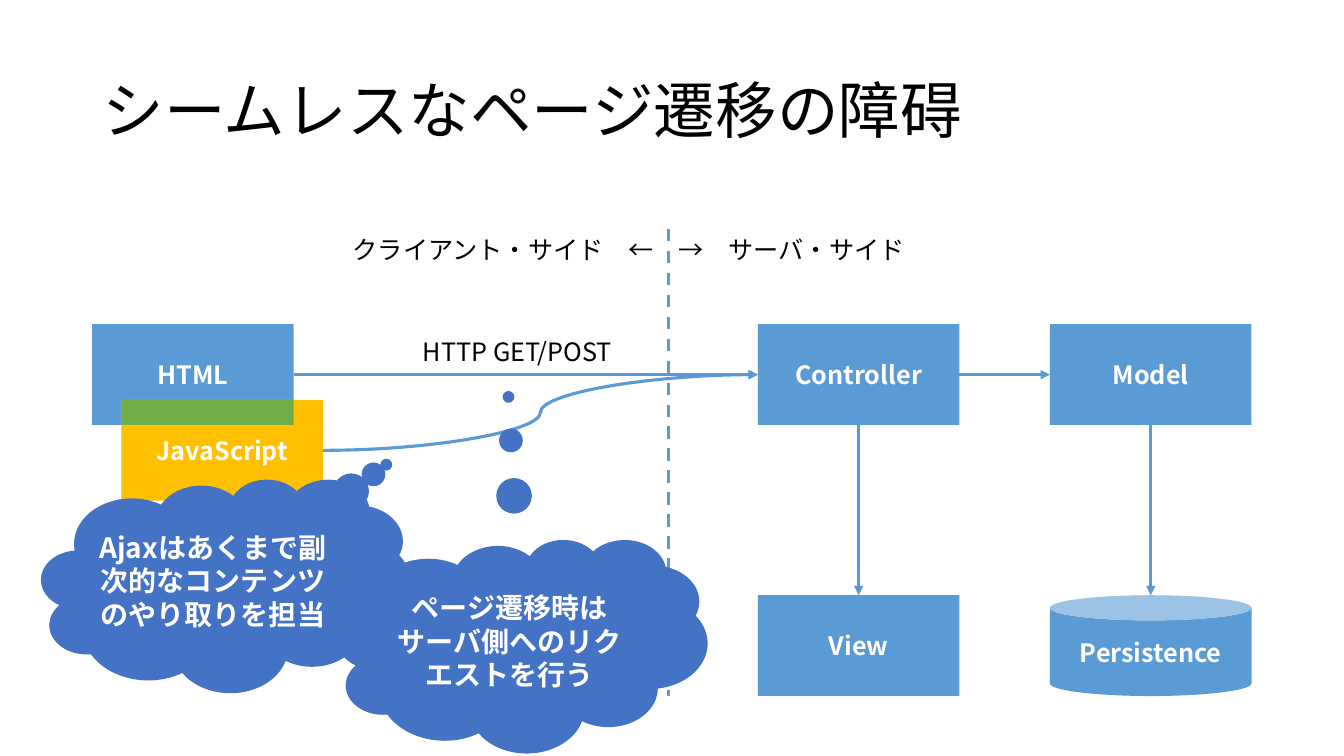
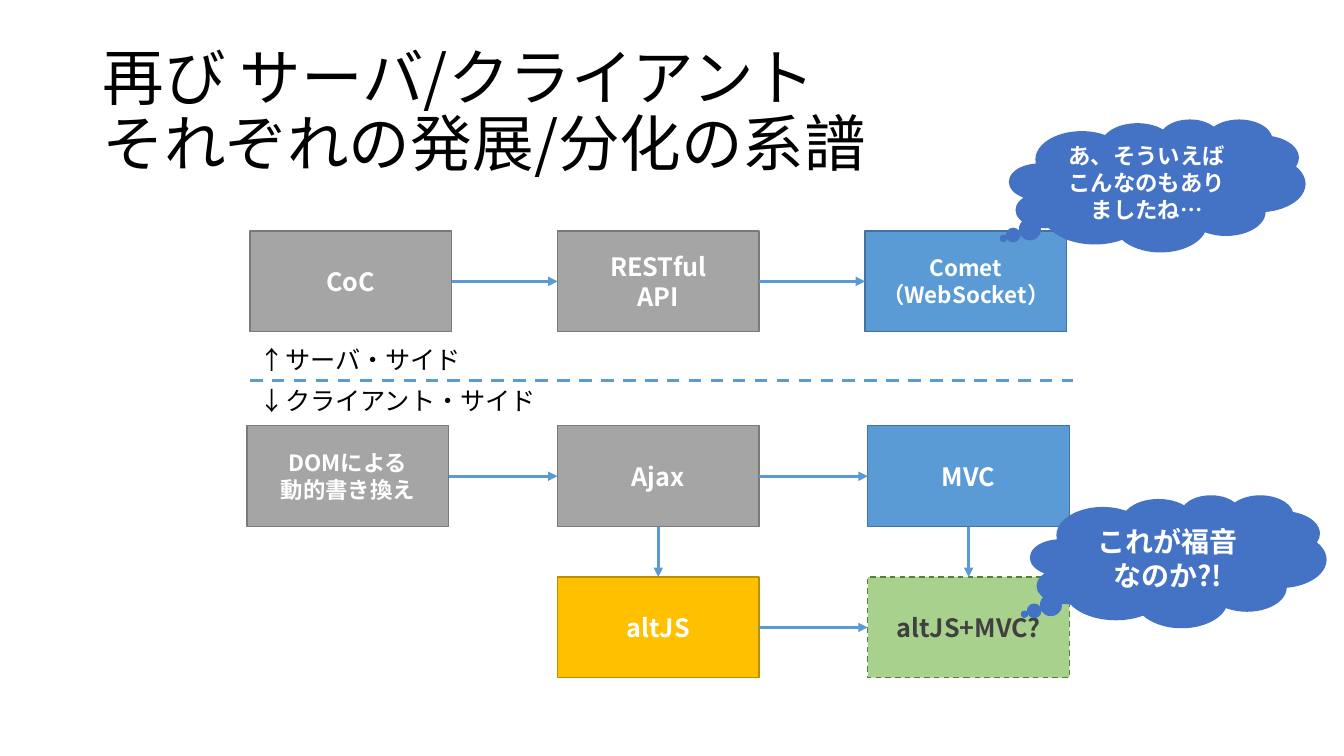
from lxml.etree import SubElement
from pptx import Presentation
from pptx.dml.color import RGBColor as RGB
from pptx.enum.dml import MSO_LINE as DASH
from pptx.enum.shapes import MSO_CONNECTOR as CONN, MSO_SHAPE as SHP
from pptx.enum.text import MSO_ANCHOR as ANC, MSO_AUTO_SIZE as AUTO, PP_ALIGN as AL
from pptx.oxml.ns import qn
from pptx.util import Cm, Pt

C = dict(blue="5B9BD5", blue_edge="43739E", cloud="4472C4", gold="FFC000",
         gold_edge="BD8E00", green="70AD47", mint="A9D18E", mint_edge="548235",
         gray="A5A5A5", gray_edge="7A7A7A", dark="404040", black="000000",
         white="FFFFFF")
FONT = "Noto Sans CJK JP"
BOX_W, BOX_H = 5.08, 2.54
LABEL_H = 1.02
TITLE_BOX = dict(left=Cm(2.33), top=Cm(1.02), width=Cm(29.21), height=Cm(3.68))
TITLE_FRAME = dict(auto_size=AUTO.NONE, vertical_anchor=ANC.MIDDLE, word_wrap=True)
TITLE_PARA = dict(alignment=AL.LEFT, line_spacing=0.9)
SHAPE_FRAME = dict(vertical_anchor=ANC.MIDDLE, word_wrap=True)
LABEL_FRAME = dict(auto_size=AUTO.SHAPE_TO_FIT_TEXT, word_wrap=False)
NO_INSET = dict(margin_left=0, margin_top=0, margin_right=0, margin_bottom=0)


def apply(obj, fmt):
    """Set each attribute of obj named in fmt."""
    for name, value in fmt.items():
        setattr(obj, name, value)


def write(tf, text, frame, para, size, color, bold=False):
    """Fill a text frame with one formatted paragraph."""
    apply(tf, frame)
    p = tf.paragraphs[0]
    p.text = text
    apply(p, para)
    for r in p.runs:
        apply(r.font, dict(name=FONT, size=Pt(size), bold=bold))
        r.font.color.rgb = RGB.from_string(C[color])
        SubElement(r.font._element, qn("a:ea")).set("typeface", FONT)


def add_slide(prs, title):
    """Add a title-only slide with the shared title style."""
    s = prs.slides.add_slide(prs.slide_layouts[5])
    apply(s.shapes.title, TITLE_BOX)
    write(s.shapes.title.text_frame, title, TITLE_FRAME, TITLE_PARA, 44, "black")
    return s


def shape(s, kind, x, y, w, h, fill, text="", size=18, color="white",
          edge=None, dash=None, frame=None):
    """Draw a filled preset shape with centred bold text."""
    sp = s.shapes.add_shape(kind, Cm(x), Cm(y), Cm(w), Cm(h))
    sp.shadow.inherit = False
    sp.fill.solid()
    sp.fill.fore_color.rgb = RGB.from_string(C[fill])
    if edge:
        apply(sp.line, dict(width=Pt(1), dash_style=dash))
        sp.line.color.rgb = RGB.from_string(C[edge])
    else:
        sp.line.fill.background()
    if text:
        write(sp.text_frame, text, SHAPE_FRAME | (frame or {}),
              dict(alignment=AL.CENTER), size, color, True)
    return sp


def box(s, x, y, fill, text, kind=SHP.RECTANGLE, **fmt):
    """Draw a diagram node of the standard size."""
    return shape(s, kind, x, y, BOX_W, BOX_H, fill, text, **fmt)


def cloud(s, x, y, w, h, tip, text, size, frame=None):
    """Draw a thought bubble whose trail ends at tip."""
    sp = shape(s, SHP.CLOUD_CALLOUT, x, y, w, h, "cloud", text, size, frame=frame)
    for i, value in enumerate(tip):
        sp.adjustments[i] = value


def label(s, x, y, w, text):
    """Place a one-line caption."""
    sp = s.shapes.add_textbox(Cm(x), Cm(y), Cm(w), Cm(LABEL_H))
    write(sp.text_frame, text, LABEL_FRAME, {}, 18, "black")


def connector(s, kind, x1, y1, x2, y2):
    """Draw a blue connector without shadow."""
    cx = s.shapes.add_connector(kind, x1, y1, x2, y2)
    cx.line.width = Pt(2.25)
    cx.line.color.rgb = RGB.from_string(C["blue"])
    SubElement(cx._element.spPr, qn("a:effectLst"))
    return cx


def divider(s, x1, y1, x2, y2):
    """Draw a dashed border between the two sides."""
    cx = connector(s, CONN.STRAIGHT, Cm(x1), Cm(y1), Cm(x2), Cm(y2))
    cx.line.dash_style = DASH.DASH


def arrow(s, a, b, down=False, kind=CONN.STRAIGHT):
    """Link node a to node b, rightwards or downwards."""
    if down:
        ends = (a.left + a.width // 2, a.top + a.height, b.left + b.width // 2, b.top)
    else:
        ends = (a.left + a.width, a.top + a.height // 2, b.left, b.top + b.height // 2)
    cx = connector(s, kind, *ends)
    cx.begin_connect(a, 2 if down else 3)
    if b.auto_shape_type != SHP.CAN:
        cx.end_connect(b, 0 if down else 1)
    ln = cx._element.spPr.find(qn("a:ln"))
    SubElement(ln, qn("a:tailEnd")).set("type", "triangle")


def client_nodes(s, x, y):
    """Draw the overlapping HTML and JavaScript nodes."""
    dx, dy = 0.74, 1.91
    html = box(s, x, y, "blue", "HTML")
    js = box(s, x + dx, y + dy, "gold", "JavaScript")
    shape(s, SHP.RECTANGLE, x + dx, y + dy, BOX_W - dx, BOX_H - dy, "green")
    return html, js


def server_nodes(s, x, y):
    """Draw the server nodes on a two by two grid and return the controller."""
    dx, dy = 7.36, 6.83
    ctrl = box(s, x, y, "blue", "Controller")
    model = box(s, x + dx, y, "blue", "Model")
    view = box(s, x, y + dy, "blue", "View")
    store = box(s, x + dx, y + dy, "blue", "Persistence", SHP.CAN)
    arrow(s, ctrl, model)
    arrow(s, ctrl, view, down=True)
    arrow(s, model, store, down=True)
    return ctrl


def transition_slide(prs):
    """Build the slide on obstacles to seamless page transitions."""
    s = add_slide(prs, "シームレスなページ遷移の障碍")
    x, y, row = 16.84, 5.77, 8.17
    divider(s, x, y, x, 17.53)
    label(s, x, y, 6.27, "→　サーバ・サイド")
    label(s, x - 8.2, y, 8.2, "クライアント・サイド　←")
    label(s, 10.41, 8.36, 5.69, "HTTP GET/POST")
    html, js = client_nodes(s, 2.32, row)
    ctrl = server_nodes(s, 19.1, row)
    arrow(s, html, ctrl)
    arrow(s, js, ctrl, kind=CONN.CURVE)
    for cx, cy, tip, text in (
            (1.04, 12.07, (0.433, -0.567), "Ajaxはあくまで副次的なコンテンツのやり取りを担当"),
            (8.51, 13.59, (-0.038, -1.167), "ページ遷移時はサーバ側へのリクエストを行う")):
        cloud(s, cx, cy, 9.32, 5.38, tip, text, 20, NO_INSET)


def lineage(s, x, y, pitch, nodes):
    """Draw a row of nodes joined by arrows, with its second column at x."""
    row = []
    for i, (fill, text, size) in enumerate(nodes):
        row.append(box(s, x + (i - 1) * pitch, y, fill, text, size=size,
                       edge=fill + "_edge"))
    for a, b in zip(row, row[1:]):
        arrow(s, a, b)
    return row


def genealogy_slide(prs):
    """Build the slide on how server and client technology evolved."""
    s = add_slide(prs, "再び サーバ/クライアント\vそれぞれの発展/分化の系譜")
    mid, border, left, pitch = 14.05, 9.58, 6.3, 7.82
    lineage(s, mid, 5.82, 7.75, (
        ("gray", "CoC", 18), ("gray", "RESTful\vAPI", 18),
        ("blue", "Comet\v（WebSocket）", 16)))
    divider(s, left, border, 27.03, border)
    label(s, left, border - LABEL_H, 5.64, "↑サーバ・サイド")
    label(s, left, border, 7.57, "↓クライアント・サイド")
    dom, ajax, mvc = lineage(s, mid, 10.73, pitch, (
        ("gray", "DOMによる\v動的書き換え", 16), ("gray", "Ajax", 18),
        ("blue", "MVC", 18)))
    low = 14.54
    alt = box(s, mid, low, "gold", "altJS", edge="gold_edge")
    both = box(s, mid + pitch, low, "mint", "altJS+MVC?", color="dark",
               edge="mint_edge", dash=DASH.DASH)
    arrow(s, alt, both)
    arrow(s, ajax, alt, down=True)
    arrow(s, mvc, both, down=True)
    for x, y, text, size in (
            (25.96, 12.47, "これが福音\vなのか?!", 20),
            (25.43, 3.0, "あ、そういえば\vこんなのもありましたね…", 16)):
        cloud(s, x, y, 7.47, 3.35, (-0.519, 0.398), text, size)


def main():
    """Build and save the presentation."""
    prs = Presentation()
    apply(prs, dict(slide_width=Cm(33.87), slide_height=Cm(19.05)))
    transition_slide(prs)
    genealogy_slide(prs)
    prs.save("out.pptx")


if __name__ == "__main__":
    main()
